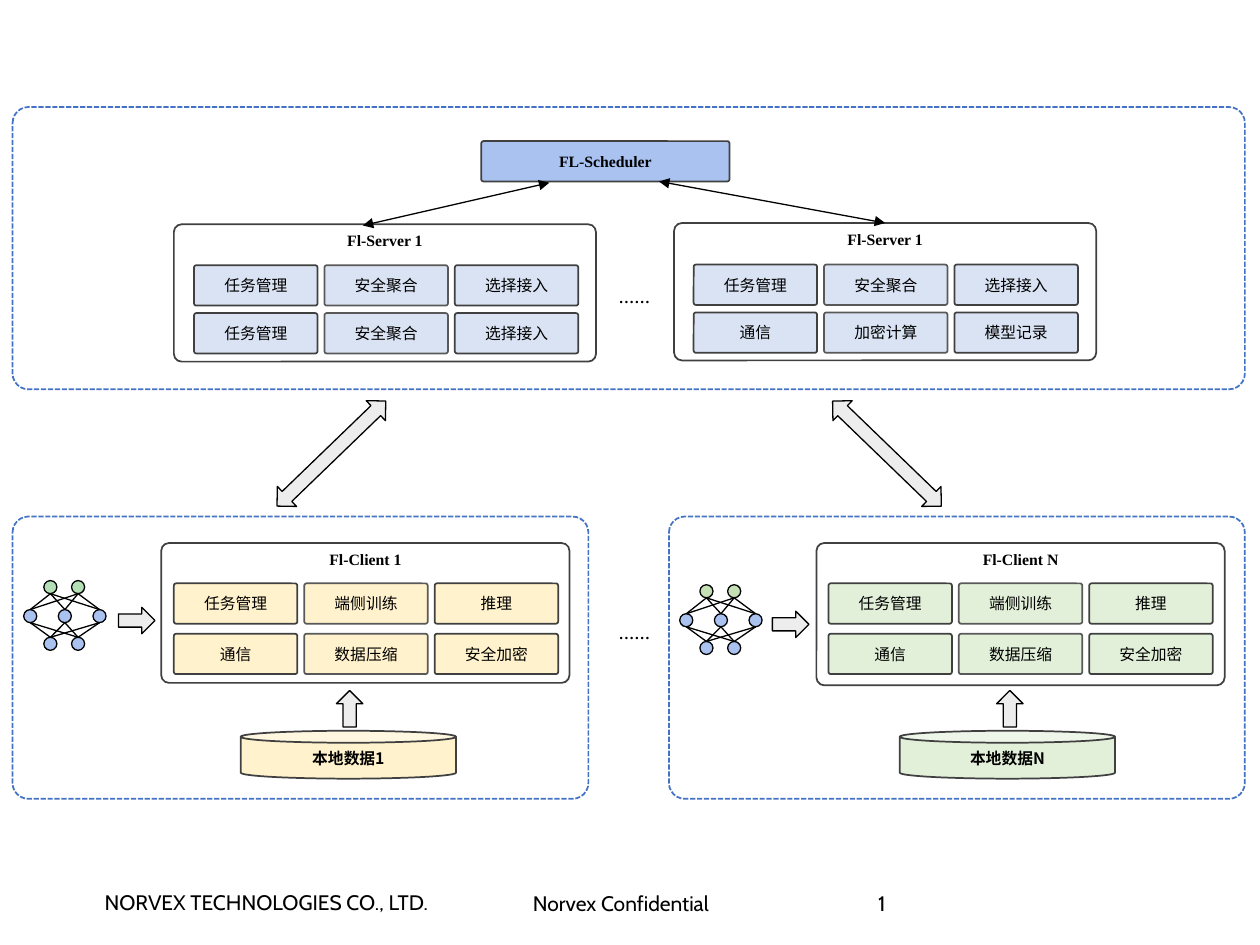
from itertools import product
from lxml.etree import SubElement
from pptx import Presentation
from pptx.dml.color import RGBColor
from pptx.enum.dml import MSO_LINE as Dash
from pptx.enum.shapes import MSO_CONNECTOR as Connector, MSO_SHAPE as Shape
from pptx.enum.text import MSO_ANCHOR as Anchor, PP_ALIGN as Align
from pptx.oxml.ns import qn
from pptx.util import Inches, Pt

BLACK = RGBColor(0x00, 0x00, 0x00)
DARK = RGBColor(0x40, 0x40, 0x40)
GREY = RGBColor(0x59, 0x59, 0x59)
SILVER = RGBColor(0xED, 0xED, 0xED)
DASH_BLUE = RGBColor(0x44, 0x72, 0xC4)
BLUE = RGBColor(0xA9, 0xC2, 0xF0)
PALE_BLUE = RGBColor(0xDA, 0xE3, 0xF3)
PALE_YELLOW = RGBColor(0xFF, 0xF2, 0xCC)
PALE_GREEN = RGBColor(0xE2, 0xF0, 0xD9)
MINT = RGBColor(0xB3, 0xE0, 0xB4)
LEAF = RGBColor(0xC5, 0xE0, 0xB4)
SERIF, HAN, SANS = "Times New Roman", "Noto Sans CJK SC", "Cabin"
COLUMNS, ROWS = 100, 75


def write(shape, text, font=HAN, size=9, bold=False, align=Align.CENTER,
          anchor=Anchor.MIDDLE, insets=(0.09, 0.04, 0.09, 0.04)):
    frame = shape.text_frame
    frame.word_wrap = True
    frame.vertical_anchor = anchor
    (frame.margin_left, frame.margin_top,
     frame.margin_right, frame.margin_bottom) = map(Inches, insets)
    para = frame.paragraphs[0]
    para.alignment = align
    span = para.add_run()
    span.text = text
    span.font.name = font
    span.font.size = Pt(size)
    span.font.bold = bold
    span.font.color.rgb = BLACK
    SubElement(span.font._element, qn("a:ea")).set("typeface", font)


class Board:
    def __init__(self, deck):
        self.page = deck.slides.add_slide(deck.slide_layouts[6])
        self.column = deck.slide_width / COLUMNS
        self.row = deck.slide_height / ROWS

    def place(self, *lengths):
        steps = (self.column, self.row) * 2
        return [round(length * step) for length, step in zip(lengths, steps)]

    def shape(self, kind, spot, fill=None, line=BLACK, weight=0.75, turn=0):
        shape = self.page.shapes.add_shape(kind, *self.place(*spot))
        shape.shadow.inherit = False
        shape.rotation = turn
        if fill is None:
            shape.fill.background()
        else:
            shape.fill.solid()
            shape.fill.fore_color.rgb = fill
        shape.line.color.rgb = line
        shape.line.width = Pt(weight)
        return shape

    def box(self, spot, fill=None, line=DARK):
        box = self.shape(Shape.ROUNDED_RECTANGLE, spot, fill, line, 1)
        box.adjustments[0] = 0.056
        return box

    def zone(self, *spot):
        self.box(spot, line=DASH_BLUE).line.dash_style = Dash.SQUARE_DOT

    def label(self, spot, text, **style):
        box = self.page.shapes.add_textbox(*self.place(*spot))
        write(box, text, **style)

    def line(self, start, end, arrows=False):
        line = self.page.shapes.add_connector(
            Connector.STRAIGHT, *self.place(*start, *end))
        line.line.color.rgb = BLACK
        line.line.width = Pt(0.75)
        if arrows:
            outline = line.line._get_or_add_ln()
            for tip in ("a:headEnd", "a:tailEnd"):
                SubElement(outline, qn(tip)).set("type", "triangle")
        SubElement(line._element.spPr, qn("a:effectLst"))
        return line

    def module(self, spot, title, names, fill, origin, row_step):
        frame = self.box(spot)
        left, top, width, _ = spot
        self.label((left + width / 2 - 5.65, top, 11.3, 2.5), title,
                   font=SERIF, bold=True)
        for index, name in enumerate(names.split()):
            row, column = divmod(index, 3)
            cell = (origin[0] + column * 10.35, origin[1] + row * row_step, 9.8, 3.2)
            write(self.box(cell, fill, GREY if column == 1 else DARK), name)
        return frame

    def store(self, left, text, fill):
        can = self.shape(Shape.CAN, (left, 58, 17.1, 3.8), fill, DARK, 1)
        write(can, text, bold=True)

    def network(self, left, top, output_fill):
        radius = 0.52
        outer = (2.1, 4.3)
        layers = [(outer, 0.5, output_fill), ((0.5, 3.25, 6), 2.8, BLUE), (outer, 5, BLUE)]
        for xs, y, fill in layers:
            for x in xs:
                self.shape(Shape.OVAL, (left + x - radius, top + y - radius,
                                        2 * radius, 2 * radius), fill)
        for (uppers, high, _), (lowers, low, _) in zip(layers, layers[1:]):
            for upper, lower in product(uppers, lowers):
                self.line((left + upper, top + high + radius),
                          (left + lower, top + low - radius))


def main():
    deck = Presentation()
    deck.slide_width, deck.slide_height = Inches(10), Inches(7.5)
    board = Board(deck)

    footer = dict(font=SANS, size=12, align=Align.LEFT, anchor=Anchor.TOP)
    board.label((8.3, 70.6, 27.8, 2), "NORVEX TECHNOLOGIES CO., LTD.",
                insets=(0, 0, 0.09, 0), **footer)
    board.label((41.4, 70.7, 16.7, 2), "Norvex Confidential",
                insets=(0.09, 0, 0.09, 0), **footer)
    board.label((69.7, 70.7, 19.4, 4), "1", insets=(0, 0, 0, 0), **footer)

    board.zone(1, 8.5, 97.8, 22.4)
    for left in (1, 53.1):
        board.zone(left, 41, 45.7, 22.4)

    scheduler = board.box((38.2, 11.2, 19.7, 3.2), BLUE)
    write(scheduler, "FL-Scheduler", font=SERIF, bold=True)

    board.module((13.8, 17.8, 33.5, 10.9), "Fl-Server 1",
                 "任务管理 安全聚合 选择接入 任务管理 安全聚合 选择接入",
                 PALE_BLUE, (15.4, 21.05), 3.8)
    second_server = board.module((53.5, 17.7, 33.5, 10.9), "Fl-Server 1",
                                 "任务管理 安全聚合 选择接入 通信 加密计算 模型记录",
                                 PALE_BLUE, (55.05, 21), 3.8)
    board.line((43.6, 14.5), (28.8, 17.9), arrows=True)
    link = board.line((52.3, 14.4), (70.3, 17.7), arrows=True)
    link.end_connect(second_server, 0)

    tasks = "任务管理 端侧训练 推理 通信 数据压缩 安全加密"
    board.module((12.8, 43.1, 32.4, 11.1), "Fl-Client 1", tasks,
                 PALE_YELLOW, (13.8, 46.3), 4)
    board.module((64.8, 43.1, 32.4, 11.3), "Fl-Client N", tasks,
                 PALE_GREEN, (65.75, 46.3), 4)
    board.store(19.1, "本地数据1", PALE_YELLOW)
    board.store(71.4, "本地数据N", PALE_GREEN)
    board.network(1.9, 46.1, MINT)
    board.network(53.97, 46.43, LEAF)

    for left, top, turn in ((9.4, 48.2, 0), (61.3, 48.5, 0),
                            (26.3, 55.2, 270), (78.7, 55.2, 270)):
        board.shape(Shape.RIGHT_ARROW, (left, top, 2.9, 2.1), SILVER, turn=turn)
    for left, turn in ((25.2, 46), (69.3, 314)):
        board.shape(Shape.UP_DOWN_ARROW, (left, 30, 2.2, 12), SILVER, turn=turn)
    for top in (22.7, 49.4):
        board.label((47.6, top, 5.5, 2.5), "……", bold=True)

    deck.save("out.pptx")


if __name__ == "__main__":
    main()
